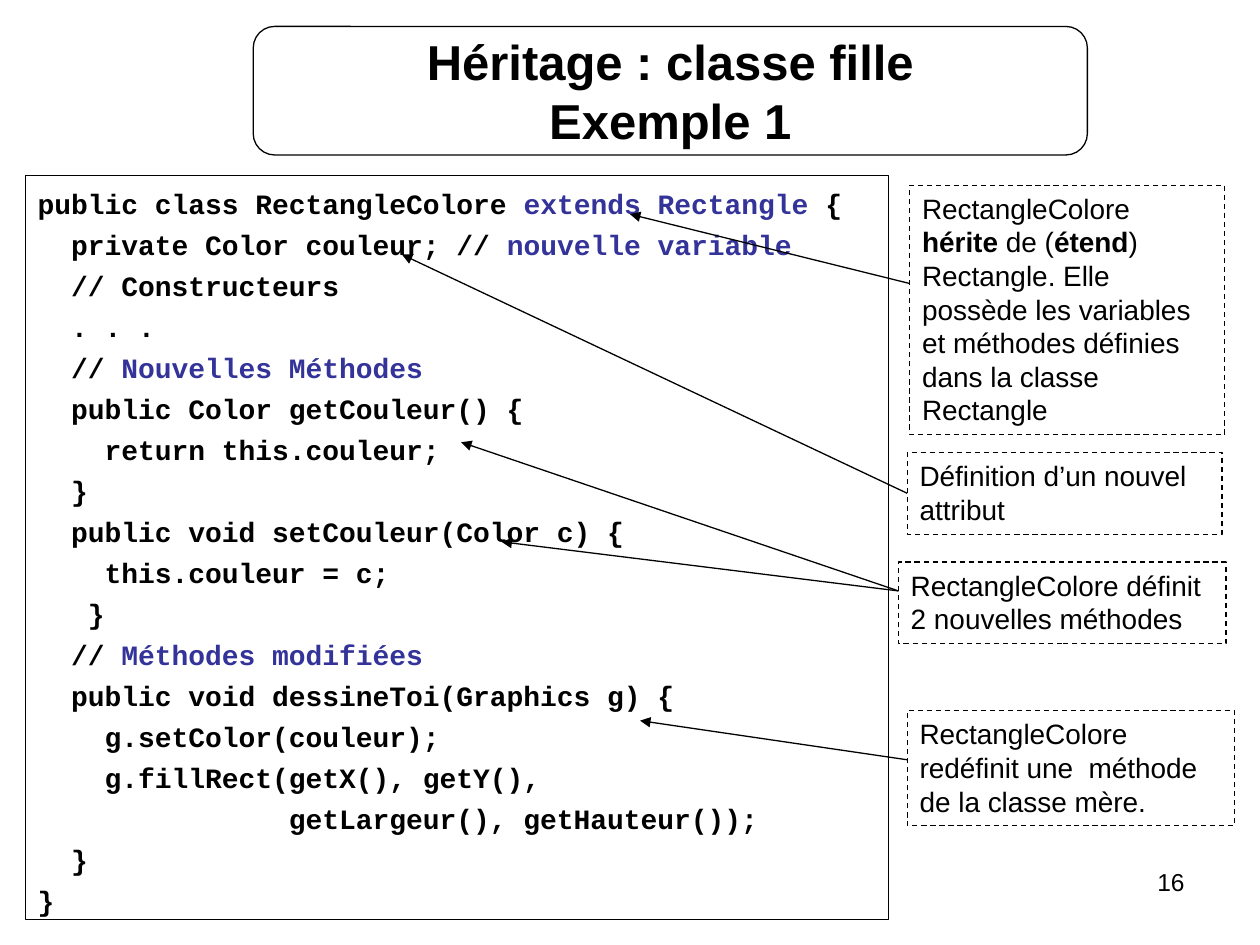
from lxml.etree import SubElement
from pptx import Presentation
from pptx.dml.color import RGBColor
from pptx.enum.dml import MSO_LINE
from pptx.enum.shapes import MSO_CONNECTOR, MSO_SHAPE
from pptx.enum.text import MSO_ANCHOR, PP_ALIGN
from pptx.oxml.ns import qn
from pptx.util import Inches, Pt

BLACK, INDIGO = "000000", "333399"


def color(hex_value):
    return RGBColor.from_string(hex_value)


def add_box(kind, place, lines, font, accent=None, align=PP_ALIGN.LEFT,
            anchor=MSO_ANCHOR.TOP, space_before=0):
    """Add an outlined box; text between | marks takes the accent format."""
    box = slide.shapes.add_shape(kind, *map(Inches, place))
    box.shadow.inherit = False
    box.fill.background()
    box.line.color.rgb = color(BLACK)
    box.line.width = Pt(0.75)
    frame = box.text_frame
    frame.word_wrap = True
    frame.vertical_anchor = anchor
    for number, line in enumerate(lines):
        paragraph = frame.add_paragraph() if number else frame.paragraphs[0]
        paragraph.alignment = align
        if number and space_before:
            paragraph.space_before = Pt(space_before)
        for part, text in enumerate(line.split("|")):
            if not text:
                continue
            run = paragraph.add_run()
            run.text = text
            style = {**font, **(accent or {})} if part % 2 else dict(font)
            run.font.color.rgb = color(style.pop("color", BLACK))
            for name, value in style.items():
                setattr(run.font, name, value)
    return box


presentation = Presentation()
presentation.slide_width = Inches(10)
presentation.slide_height = Inches(7.5)
slide = presentation.slides.add_slide(presentation.slide_layouts[6])

code_lines = [
    "public class RectangleColore |extends Rectangle| {",
    "  private Color couleur; // |nouvelle variable|",
    "  // Constructeurs",
    "  . . .",
    "  // |Nouvelles Méthodes|",
    "  public Color getCouleur() {",
    "    return this.couleur;",
    "  }",
    "  public void setCouleur(Color c) {",
    "    this.couleur = c;",
    "   }",
    "  // |Méthodes modifiées|",
    "  public void dessineToi(Graphics g) {",
    "    g.setColor(couleur);",
    "    g.fillRect(getX(), getY(),",
    "               getLargeur(), getHauteur());",
    "  }",
    "}",
]
code = add_box(MSO_SHAPE.RECTANGLE, (0.2, 1.39, 6.85, 5.91), code_lines,
               {"name": "Courier New", "size": Pt(16), "bold": True},
               accent={"color": INDIGO}, space_before=4.25)
code.text_frame.margin_top = Inches(0.09)

add_box(MSO_SHAPE.ROUNDED_RECTANGLE, (2.01, 0.21, 6.62, 1.02),
        ["Héritage : classe fille", "Exemple 1"],
        {"name": "Arial", "size": Pt(28), "bold": True},
        align=PP_ALIGN.CENTER, anchor=MSO_ANCHOR.MIDDLE)

# Each note: place, lines, height where its arrows start, arrow tips in the code
notes = [
    ((7.22, 1.47, 2.5, 1.98),
     ["RectangleColore |hérite |de (|étend|) Rectangle. Elle possède les variables",
      "et méthodes définies dans la classe Rectangle"],
     2.25, [(5, 1.7)]),
    ((7.2, 3.59, 2.5, 0.65), ["Définition d’un nouvel attribut"],
     None, [(3.19, 2.02)]),
    ((7.13, 4.46, 2.6, 0.65), ["RectangleColore définit", "2 nouvelles méthodes"],
     4.69, [(3.66, 3.51), (3.98, 4.3)]),
    ((7.2, 5.64, 2.6, 0.91),
     ["RectangleColore redéfinit une  méthode de la classe mère."],
     6.03, [(5.08, 5.72)]),
]
for place, lines, start_y, tips in notes:
    note = add_box(MSO_SHAPE.RECTANGLE, place, lines,
                   {"name": "Arial", "size": Pt(16), "bold": False},
                   accent={"bold": True})
    note.line.dash_style = MSO_LINE.DASH
    left, top, _, height = place
    for tip_x, tip_y in tips:
        arrow = slide.shapes.add_connector(
            MSO_CONNECTOR.STRAIGHT, Inches(left), Inches(start_y or top + height / 2),
            Inches(tip_x), Inches(tip_y))
        if start_y is None:
            arrow.begin_connect(note, 1)
        arrow.line.color.rgb = color(BLACK)
        arrow.line.width = Pt(0.75)
        SubElement(arrow.line._get_or_add_ln(), qn("a:tailEnd"), type="triangle")
        SubElement(arrow._element.spPr, qn("a:effectLst"))

page_number = slide.shapes.add_textbox(Inches(7.17), Inches(6.83),
                                       Inches(2.33), Inches(0.52))
page_number.text_frame.word_wrap = True
number_line = page_number.text_frame.paragraphs[0]
number_line.text = "16"
number_line.alignment = PP_ALIGN.RIGHT
number_line.font.name = "Arial"
number_line.font.size = Pt(14)
number_line.font.color.rgb = color(BLACK)

presentation.save("out.pptx")
